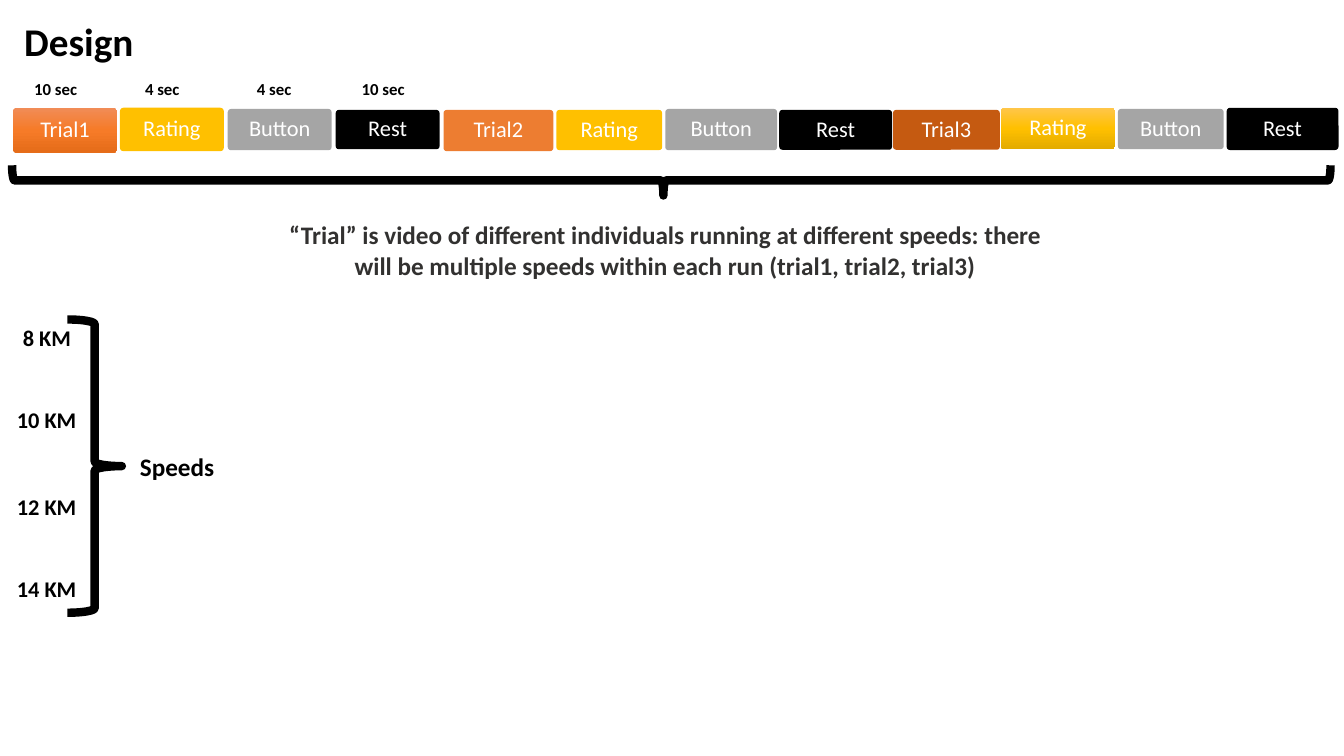
from copy import deepcopy
from pptx import Presentation
from pptx.dml.color import RGBColor
from pptx.enum.shapes import MSO_SHAPE as SHAPE
from pptx.enum.text import MSO_ANCHOR as ANCHOR, PP_ALIGN as ALIGN
from pptx.oxml.ns import qn
from pptx.util import Pt

COLORS = {
    "black": "000000", "white": "FFFFFF", "note": "323130",
    "orange": "ED7D31", "rust": "C55A11", "gold": "FFC000", "gray": "A5A5A5",
}
GRADIENTS = {
    "orange_fade": ("F18C57", "F67B28", "E56C19"),
    "gold_fade": ("FFC64B", "FFC000", "E3AB00"),
}
STEPS = [
    ("Trial1", "orange_fade", 9.4, 77, 74.2, 32),
    ("Rating", "gold", 85.7, 77, 74.2, 31),
    ("Button", "gray", 162.7, 77.8, 74.2, 29.5),
    ("Rest", "black", 239.8, 78.5, 74.2, 28.1),
    ("Trial2", "orange", 316.8, 78.5, 78.5, 29.5),
    ("Rating", "gold", 397.4, 78.5, 75.6, 28.8),
    ("Button", "gray", 475.2, 77.8, 79.9, 29.5),
    ("Rest", "black", 556.6, 78.5, 80.6, 28.5),
    ("Trial3", "rust", 637.9, 78.5, 76.3, 28.5),
    ("Rating", "gold_fade", 715, 77, 81.4, 29.5),
    ("Button", "gray", 798.5, 77.8, 75.6, 28.8),
    ("Rest", "black", 876.2, 77, 79.9, 30.2),
]
TIMES = [("10 sec", 17.3), ("4 sec", 96.5), ("4 sec", 176.4), ("10 sec", 251.3)]
SPEEDS = [("8 KM", 4.3, 0), ("10 KM", 0, 58.3), ("12 KM", 0, 120.2), ("14 KM", 0, 179.3)]
NOTE = ("“Trial” is video of different individuals running at different speeds: "
        "there will be multiple speeds within each run (trial1, trial2, trial3)")


def rgb(name):
    return RGBColor.from_string(COLORS[name])


def write(tf, text, size, color="black", bold=True, **para):
    tf.word_wrap = True
    p = tf.paragraphs[0]
    for key, value in para.items():
        setattr(p, key, value)
    r = p.add_run()
    r.text = text
    for key, value in {"name": "Calibri", "size": Pt(size), "bold": bold}.items():
        setattr(r.font, key, value)
    r.font.color.rgb = rgb(color)


def add_label(s, text, x, y, w, h, size, color="black", **para):
    tb = s.shapes.add_textbox(Pt(x), Pt(y), Pt(w), Pt(h))
    write(tb.text_frame, text, size, color, **para)


def paint(sp, fill):
    if fill in COLORS:
        sp.fill.solid()
        sp.fill.fore_color.rgb = rgb(fill)
        return
    sp.fill.gradient()
    sp.fill.gradient_angle = 270
    stops = sp._element.spPr.find(qn("a:gradFill")).find(qn("a:gsLst"))
    stops.append(deepcopy(stops[0]))
    for i, (stop, color) in enumerate(zip(sp.fill.gradient_stops, GRADIENTS[fill])):
        stop.position = i / 2
        stop.color.rgb = RGBColor.from_string(color)


def add_step(s, text, fill, x, y, w, h):
    sp = s.shapes.add_shape(SHAPE.ROUNDED_RECTANGLE, Pt(x), Pt(y), Pt(w), Pt(h))
    sp.adjustments[0] = 0.08
    sp.shadow.inherit = False
    sp.line.fill.background()
    paint(sp, fill)
    tf = sp.text_frame
    for side in ("left", "top", "right", "bottom"):
        setattr(tf, f"margin_{side}", Pt(1.5))
    tf.vertical_anchor = ANCHOR.MIDDLE
    write(tf, text, 16, "white", False, alignment=ALIGN.CENTER, line_spacing=0.9)


def add_brace(s, x, y, w, h, rotation=0, adjustments=()):
    if rotation:
        x, y, w, h = x + (w - h) / 2, y + (h - w) / 2, h, w
    sp = s.shapes.add_shape(SHAPE.RIGHT_BRACE, Pt(x), Pt(y), Pt(w), Pt(h))
    sp.rotation = rotation
    for i, value in enumerate(adjustments):
        sp.adjustments[i] = value
    sp.shadow.inherit = False
    sp.fill.background()
    sp.line.color.rgb = rgb("black")
    sp.line.width = Pt(6)


def add_title(s, x, y, w, h):
    title = s.shapes.title
    box = {"left": x, "top": y, "width": w, "height": h}
    for key, value in box.items():
        setattr(title, key, Pt(value))
    title.text_frame.vertical_anchor = ANCHOR.MIDDLE
    write(title.text_frame, "Design", 28, alignment=ALIGN.LEFT, line_spacing=0.9)


def add_timeline(s, x, y, w):
    for text, left in TIMES:
        add_label(s, text, left, y, 56.5, 21.6, 12)
    for step in STEPS:
        add_step(s, *step)
    add_brace(s, x, y + 65.5, w, 21.6, 90, (0.083, 0.506))
    add_label(s, NOTE, x + 175.7, y + 100.8, 581.8, 51.1, 18, "note", alignment=ALIGN.CENTER)


def add_speeds(s, x, y, h):
    for text, dx, dy in SPEEDS:
        add_label(s, text, x + dx, y + dy, 83.5, 26.6, 16)
    add_brace(s, x + 43.2, y, 38.9, h)
    add_label(s, "Speeds", x + 87.9, y + 90.7, 230.4, 28.8, 18)


def main():
    prs = Presentation()
    prs.slide_width, prs.slide_height = Pt(960), Pt(540)
    s = prs.slides.add_slide(prs.slide_layouts[5])
    add_title(s, 10.1, 10.1, 105.1, 42.5)
    add_timeline(s, 8.6, 52.6, 941.8)
    add_speeds(s, 5, 228.2, 209.5)
    prs.save("out.pptx")


if __name__ == "__main__":
    main()
